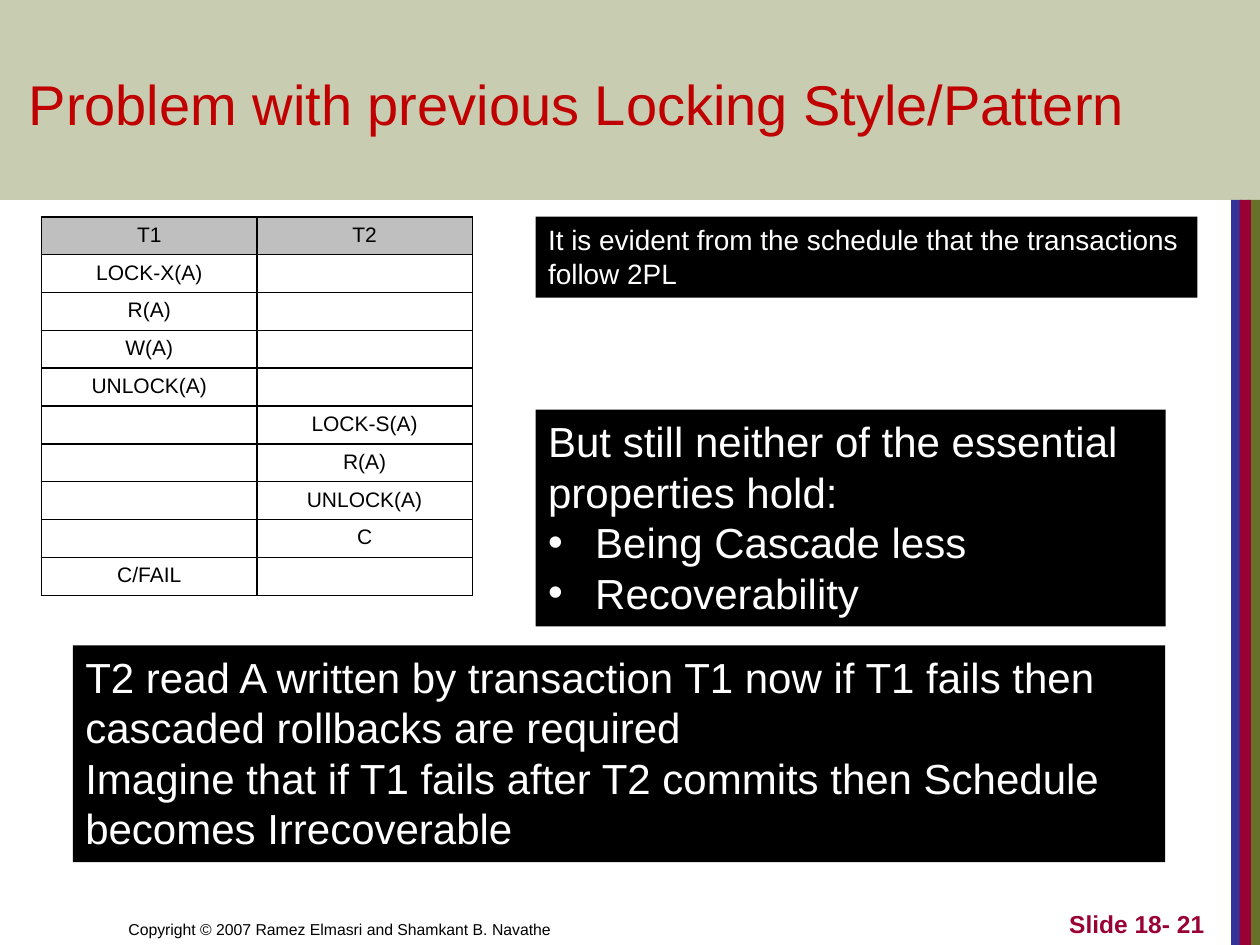
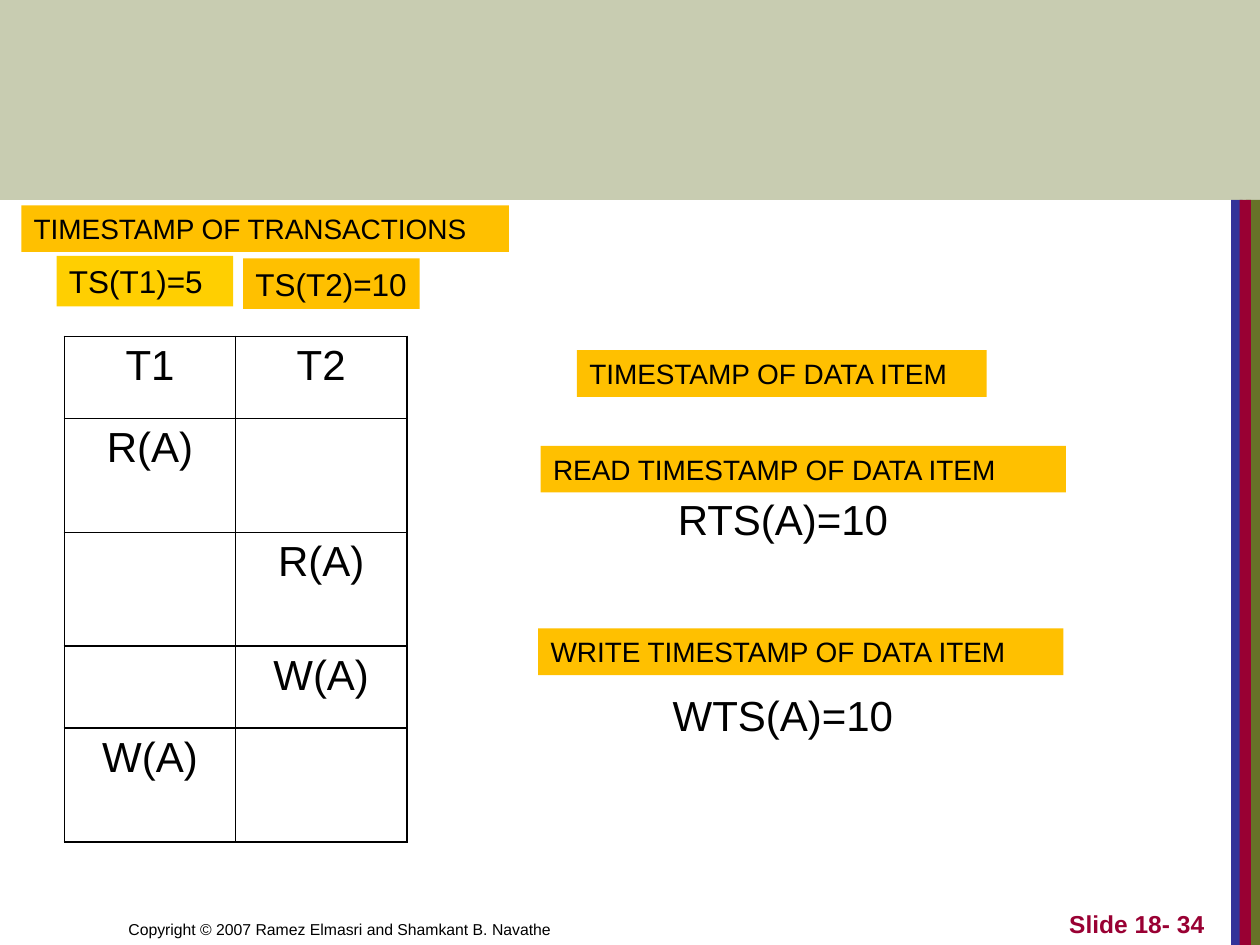
from collections import namedtuple

from lxml import etree
from pptx import Presentation
from pptx import util as u
from pptx.dml.color import RGBColor
from pptx.enum import shapes, text
from pptx.oxml import ns

BLACK = RGBColor(0x00, 0x00, 0x00)
WHITE = RGBColor(0xFF, 0xFF, 0xFF)
OLIVE = RGBColor(0x67, 0x72, 0x28)
INDIGO = RGBColor(0x33, 0x33, 0x99)
CRIMSON = RGBColor(0x99, 0x00, 0x33)
TITLE_RED = RGBColor(0xC0, 0x00, 0x00)
HEADER_GREY = RGBColor(0xBF, 0xBF, 0xBF)
AMBER = RGBColor(0xFF, 0xC0, 0x00)
YELLOW = RGBColor(0xFF, 0xCF, 0x01)
FONT = "Arial"
LEFT, CENTER, RIGHT = text.PP_ALIGN.LEFT, text.PP_ALIGN.CENTER, text.PP_ALIGN.RIGHT
TOP, BOTTOM = text.MSO_ANCHOR.TOP, text.MSO_ANCHOR.BOTTOM

Box = namedtuple("Box", "left top width height")
SLIDE = Box(0, 0, 25.4, 19.05)
BAND_HEIGHT = 4.03


def within(box, left, top, width, height):
    """Return a box placed relative to the top left corner of another."""
    return Box(box.left + left, box.top + top, width, height)


def lengths(box):
    """Turn a box in centimetres into slide lengths."""
    return [u.Cm(value) for value in box]


def style(paragraph, size, color, align=LEFT, bold=False):
    """Format a paragraph and its runs."""
    paragraph.alignment = align
    for run in paragraph.runs:
        run.font.name = FONT
        run.font.size = u.Pt(size)
        run.font.bold = bold
        run.font.color.rgb = color


def bullet(paragraph):
    """Give a paragraph a hanging round bullet."""
    properties = paragraph._p.get_or_add_pPr()
    properties.set("marL", str(u.Cm(0.95)))
    properties.set("indent", str(u.Cm(-0.95)))
    etree.SubElement(properties, ns.qn("a:buFont"), typeface=FONT)
    etree.SubElement(properties, ns.qn("a:buChar"), char="•")


def block(slide, box, color, alpha=None):
    """Draw a plain filled rectangle."""
    area = slide.shapes.add_shape(shapes.MSO_SHAPE.RECTANGLE, *lengths(box))
    area.shadow.inherit = False
    area.line.fill.background()
    area.fill.solid()
    area.fill.fore_color.rgb = color
    if alpha:
        tint = area.fill._xPr.find(".//" + ns.qn("a:srgbClr"))
        etree.SubElement(tint, ns.qn("a:alpha"), val=str(alpha * 1000))


def caption(slide, box, lines, size, color=BLACK, fill=None, align=LEFT,
            anchor=TOP, bold=False, bullets_from=None):
    """Write lines in a text box, on a fill if one is given."""
    note = slide.shapes.add_textbox(*lengths(box))
    if fill is not None:
        note.fill.solid()
        note.fill.fore_color.rgb = fill
    frame = note.text_frame
    frame.word_wrap = True
    frame.vertical_anchor = anchor
    frame.text = "\n".join(lines)
    for index, paragraph in enumerate(frame.paragraphs):
        style(paragraph, size, color, align, bold)
        if bullets_from is not None and index >= bullets_from:
            bullet(paragraph)


def outline(cell):
    """Draw thin black borders around a table cell."""
    properties = cell._tc.get_or_add_tcPr()
    for position, side in enumerate(("lnL", "lnR", "lnT", "lnB")):
        line = etree.Element(ns.qn(f"a:{side}"), w=str(u.Pt(1)))
        solid = etree.SubElement(line, ns.qn("a:solidFill"))
        etree.SubElement(solid, ns.qn("a:srgbClr"), val=str(BLACK))
        properties.insert(position, line)


def schedule(slide, box, steps, size, row_heights, header_fill=None):
    """Draw the schedule of T1 and T2; each step gives both columns."""
    rows = [("T1", "T2")] + steps
    table = slide.shapes.add_table(len(rows), 2, *lengths(box)).table
    table.first_row = table.horz_banding = False
    for column in table.columns:
        column.width = u.Cm(box.width / 2)
    for row_index, (row, height) in enumerate(zip(rows, row_heights)):
        table.rows[row_index].height = u.Cm(height)
        for column_index, operation in enumerate(row):
            cell = table.cell(row_index, column_index)
            if row_index == 0 and header_fill is not None:
                cell.fill.solid()
                cell.fill.fore_color.rgb = header_fill
            else:
                cell.fill.background()
            outline(cell)
            paragraph = cell.text_frame.paragraphs[0]
            if operation:
                paragraph.text = operation
                style(paragraph, size, BLACK, CENTER)
            else:
                etree.SubElement(paragraph._p, ns.qn("a:endParaRPr"), sz=str(size * 100))


def page(deck, number, title=None):
    """Add a slide with its band, side stripes, footer and title."""
    slide = deck.slides.add_slide(deck.slide_layouts[6])
    for left, width, color in ((25.12, 0.28, OLIVE), (24.82, 0.23, INDIGO),
                               (24.99, 0.23, CRIMSON)):
        block(slide, Box(left, BAND_HEIGHT, width, SLIDE.height - BAND_HEIGHT), color)
    block(slide, SLIDE._replace(height=BAND_HEIGHT), OLIVE, alpha=36)
    caption(slide, Box(2.34, 17.78, 12.5, 1.27),
            ["Copyright © 2007 Ramez Elmasri and Shamkant B. Navathe"], 9, anchor=BOTTOM)
    caption(slide, Box(19.25, 17.78, 5.28, 1.27), [f"Slide 18- {number}"], 14,
            CRIMSON, align=RIGHT, anchor=BOTTOM, bold=True)
    if title:
        caption(slide, Box(0.33, 1.27, 24.33, 1.63), [title], 32, TITLE_RED)
    return slide


def findings(slide, box):
    """Place the three black remarks about the locking schedule."""
    caption(slide, within(box, 9.33, 0, 13.34, 1.63),
            ["It is evident from the schedule that the transactions follow 2PL"],
            16, WHITE, BLACK)
    caption(slide, within(box, 9.33, 3.89, 12.7, 4.37),
            ["But still neither of the essential properties hold:",
             "Being Cascade less", "Recoverability"],
            24, WHITE, BLACK, bullets_from=1)
    caption(slide, within(box, 0, 8.64, 22.02, 4.37),
            ["T2 read A written by transaction T1 now if T1 fails then "
             "cascaded rollbacks are required",
             "Imagine that if T1 fails after T2 commits then Schedule "
             "becomes Irrecoverable"],
            24, WHITE, BLACK)


def transaction_timestamps(slide, box):
    """Place the heading and timestamps of both transactions."""
    caption(slide, within(box, 0, 0, box.width, 0.94),
            ["TIMESTAMP OF TRANSACTIONS"], 16, fill=AMBER)
    for left, top, stamp, fill in ((0.71, 1.02, "TS(T1)=5", YELLOW),
                                   (4.47, 1.07, "TS(T2)=10", AMBER)):
        caption(slide, within(box, left, top, 3.56, 1.02), [stamp], 18, fill=fill)


def item_timestamps(slide, box):
    """Place the read and write timestamps of the data item."""
    for top, stamp in ((2.77, "RTS(A)=10"), (6.71, "WTS(A)=10")):
        caption(slide, within(box, 0.2, top, 9.47, 1.27), [stamp], 24, align=CENTER)
    for left, top, width, heading in (
            (0.78, 0, 8.26, "TIMESTAMP OF DATA ITEM"),
            (0.05, 1.93, box.width, "READ TIMESTAMP OF DATA ITEM"),
            (0, 5.61, box.width, "WRITE TIMESTAMP OF DATA ITEM")):
        caption(slide, within(box, left, top, width, 0.94), [heading], 16, fill=AMBER)


def locking_slide(deck):
    """Build the slide on the locking problem."""
    slide = page(deck, 21, "Problem with previous Locking Style/Pattern")
    steps = [("LOCK-X(A)", ""), ("R(A)", ""), ("W(A)", ""), ("UNLOCK(A)", ""),
             ("", "LOCK-S(A)"), ("", "R(A)"), ("", "UNLOCK(A)"), ("", "C"),
             ("C/FAIL", "")]
    schedule(slide, Box(0.84, 4.37, 8.68, 7.62), steps, 12, [0.76] * 10, HEADER_GREY)
    findings(slide, Box(1.47, 4.37, 22.67, 13))


def timestamp_slide(deck):
    """Build the slide on transaction and data item timestamps."""
    slide = page(deck, 34)
    steps = [("R(A)", ""), ("", "R(A)"), ("", "W(A)"), ("W(A)", "")]
    schedule(slide, Box(1.3, 6.78, 6.9, 10.19), steps, 24, [1.66, 2.29, 2.29, 1.66, 2.29])
    transaction_timestamps(slide, Box(0.43, 4.14, 9.83, 2.1))
    item_timestamps(slide, Box(10.85, 7.06, 10.59, 8))


def main():
    """Build and save the deck."""
    deck = Presentation()
    deck.slide_width, deck.slide_height = u.Cm(SLIDE.width), u.Cm(SLIDE.height)
    locking_slide(deck)
    timestamp_slide(deck)
    deck.save("out.pptx")


if __name__ == "__main__":
    main()
